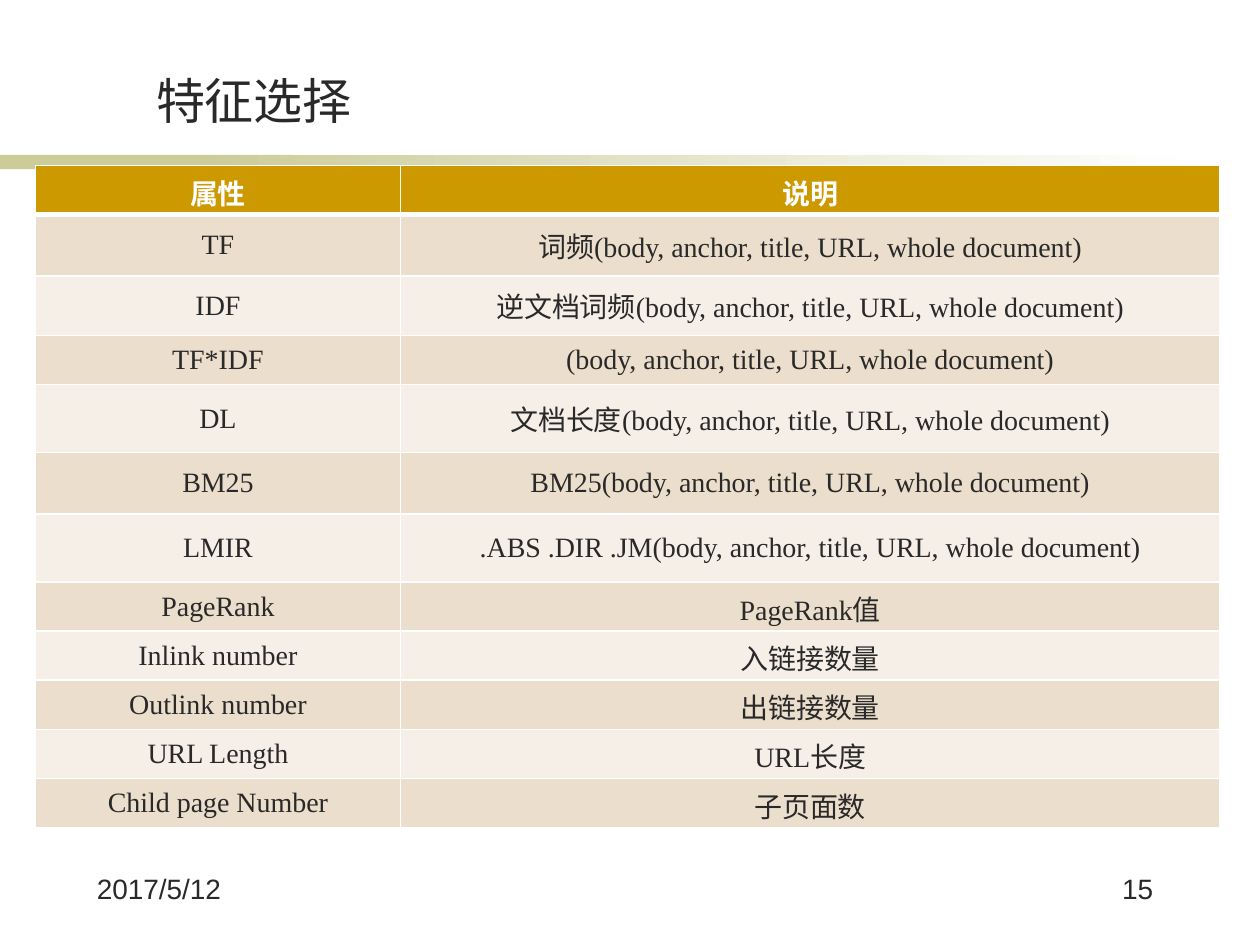
from lxml.etree import SubElement
from pptx import Presentation
from pptx.dml.color import RGBColor
from pptx.enum.shapes import MSO_SHAPE as Shape
from pptx.enum.text import MSO_ANCHOR as Anchor, PP_ALIGN as Align
from pptx.oxml import parse_xml
from pptx.oxml.ns import nsdecls, qn
from pptx.util import Inches, Pt

rgb = RGBColor.from_string
INK, WHITE, OLIVE, GOLD = "292929", "FFFFFF", "CCCC99", "CC9900"
BANDS = ["F6EFE7", "ECDECC"]
CJK = "Noto Sans CJK SC"
FIELDS = "(body, anchor, title, URL, whole document)"

# Attribute, description, row height in percent of the slide height
FEATURES = [
    ("属性", "说明", 5.2),
    ("TF", "词频" + FIELDS, 6.5),
    ("IDF", "逆文档词频" + FIELDS, 6.3),
    ("TF*IDF", FIELDS, 5.2),
    ("DL", "文档长度" + FIELDS, 7.2),
    ("BM25", "BM25" + FIELDS, 6.5),
    ("LMIR", ".ABS .DIR .JM" + FIELDS, 7.2),
    ("PageRank", "PageRank值", 5.2),
    ("Inlink number", "入链接数量", 5.2),
    ("Outlink number", "出链接数量", 5.2),
    ("URL Length", "URL长度", 5.2),
    ("Child page Number", "子页面数", 5.2),
]

deck = Presentation()
deck.slide_width, deck.slide_height = Inches(10), Inches(7.5)
across, down = deck.slide_width // 100, deck.slide_height // 100
slide = deck.slides.add_slide(deck.slide_layouts[6])


def box(left, top, width, height):
    """Turn percentages of the slide into lengths."""
    return [int(share * unit) for share, unit in
            zip((left, top, width, height), (across, down, across, down))]


def write(frame, words, size, font, color=INK, align=Align.LEFT, bold=False):
    frame.text = words
    paragraph = frame.paragraphs[0]
    paragraph.alignment = align
    run = paragraph.runs[0]
    run.font.size, run.font.name, run.font.bold = Pt(size), font, bold
    run.font.color.rgb = rgb(color)
    SubElement(run.font._element, qn("a:ea")).set("typeface", CJK)


# Rule under the title: a solid start fading to white
for left, width in [(0, 23.3), (15.8, 79.2)]:
    rule = slide.shapes.add_shape(Shape.RECTANGLE, *box(left, 16.4, width, 1.5))
    rule.shadow.inherit = False
    rule.line.fill.background()
    if left == 0:
        rule.fill.solid()
        rule.fill.fore_color.rgb = rgb(OLIVE)
    else:
        rule.fill.gradient()
        rule.fill.gradient_angle = 0
        for stop, color in zip(rule.fill.gradient_stops, (OLIVE, WHITE)):
            stop.color.rgb = rgb(color)

# Title, date and page number
for words, place, size, font, align, anchor in [
    ("特征选择", (11.4, 5.9, 61.4, 8.4), 28, CJK, Align.LEFT, Anchor.BOTTOM),
    ("2017/5/12", (6.7, 91.6, 14.1, 6.7), 16, "Arial", Align.LEFT, Anchor.TOP),
    ("15", (82.3, 91.6, 10.2, 6.7), 16, "Arial", Align.RIGHT, Anchor.TOP),
]:
    frame = slide.shapes.add_textbox(*box(*place)).text_frame
    frame.word_wrap = True
    frame.vertical_anchor = anchor
    write(frame, words, size, font, align=align)

# Feature table
table_height = sum(height for *_, height in FEATURES)
features = slide.shapes.add_table(
    len(FEATURES), 2, *box(2.8, 17.5, 94, table_height)).table
for column, share in zip(features.columns, (29, 65)):
    column.width = share * across

for r, (*texts, height) in enumerate(FEATURES):
    header = r == 0
    features.rows[r].height = int(height * down)
    for c, words in enumerate(texts):
        cell = features.cell(r, c)
        cell.vertical_anchor = Anchor.MIDDLE
        write(cell.text_frame, words, 16, "Times New Roman",
              WHITE if header else INK, Align.CENTER, header)
        cell.fill.solid()
        cell.fill.fore_color.rgb = rgb(GOLD if header else BANDS[r % 2])
        for i, side in enumerate("LRTB"):
            thick = (header and side == "B") or (r == 1 and side == "T")
            cell._tc.tcPr.insert(i, parse_xml(
                f'<a:ln{side} {nsdecls("a")} w="{Pt(3 if thick else 1)}">'
                f'<a:solidFill><a:srgbClr val="{WHITE}"/></a:solidFill></a:ln{side}>'))

deck.save("out.pptx")
